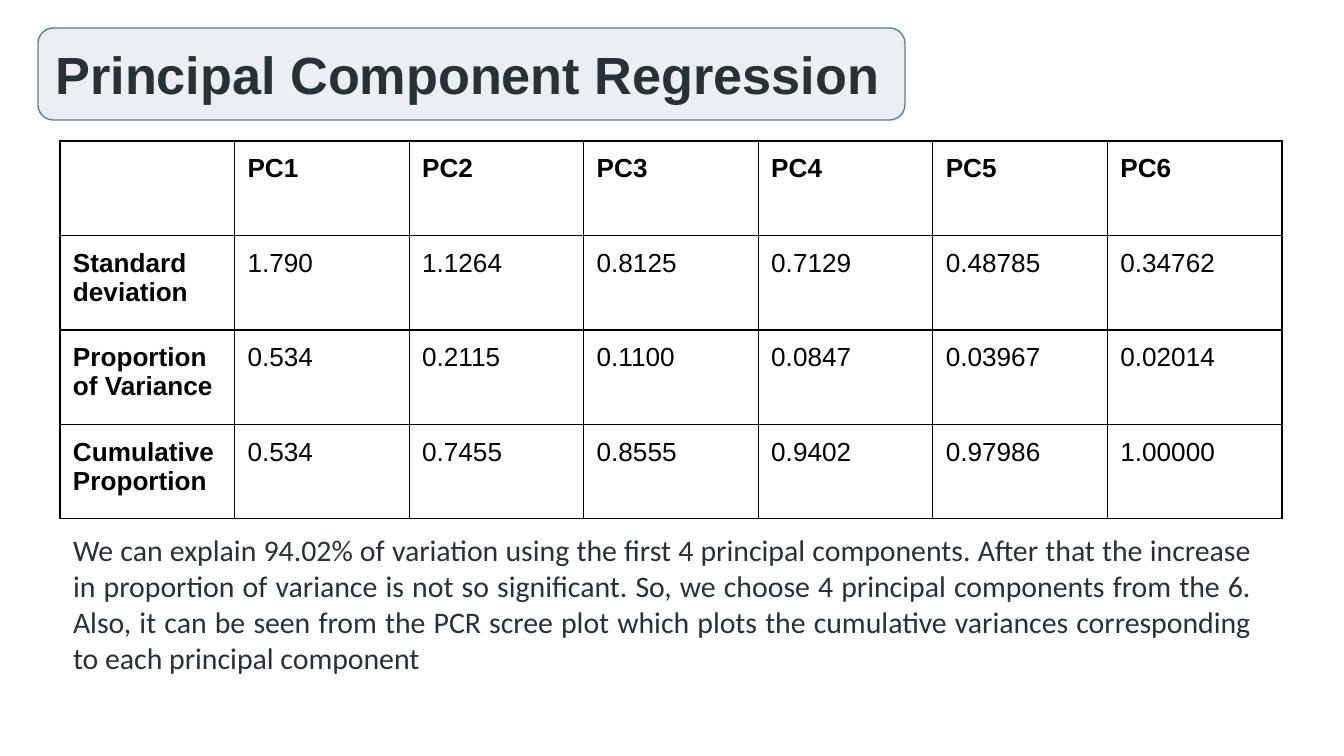
from dataclasses import dataclass

from lxml.etree import SubElement
from pptx import Presentation
from pptx.dml.color import RGBColor
from pptx.enum.shapes import MSO_SHAPE
from pptx.enum.text import MSO_ANCHOR, PP_ALIGN
from pptx.oxml.ns import qn
from pptx.util import Emu, Pt

EMU_PER_PX = 914400 / 134.4
INSET = 13
COLORS = {"ink": "263238", "panel": "ECEFF1", "edge": "607D8B",
          "black": "000000", "white": "FFFFFF"}


@dataclass(frozen=True)
class Box:
    left: int
    top: int
    width: int
    height: int

    def emu(self) -> tuple[Emu, ...]:
        return tuple(map(px, (self.left, self.top, self.width, self.height)))


@dataclass(frozen=True)
class Style:
    name: str
    size: int
    color: str
    bold: bool = False


TITLE = Style("Arial", 28, "ink", True)
HEADER = Style("Arial", 14, "black", True)
VALUE = Style("Arial", 14, "black")
BODY = Style("Calibri", 16, "ink")

TITLE_BOX = Box(38, 28, 867, 92)
TABLE_BOX = Box(60, 141, 1222, 378)
BODY_BOX = Box(60, 519, 1205, 237)

ROWS = [
    ["", *(f"PC{n}" for n in range(1, 7))],
    ["Standard deviation", "1.790", "1.1264", "0.8125", "0.7129", "0.48785", "0.34762"],
    ["Proportion of Variance", "0.534", "0.2115", "0.1100", "0.0847", "0.03967", "0.02014"],
    ["Cumulative Proportion", "0.534", "0.7455", "0.8555", "0.9402", "0.97986", "1.00000"],
]
CONCLUSION = (
    "We can explain 94.02% of variation using the first 4 principal components. "
    "After that the increase in proportion of variance is not so significant. "
    "So, we choose 4 principal components from the 6. Also, it can be seen from "
    "the PCR scree plot which plots the cumulative variances corresponding to "
    "each principal component"
)


def px(n: float) -> Emu:
    return Emu(round(n * EMU_PER_PX))


def rgb(key: str) -> RGBColor:
    return RGBColor.from_string(COLORS[key])


def set_insets(target) -> None:
    """Give a text frame or a table cell equal margins."""
    for side in ("left", "top", "right", "bottom"):
        setattr(target, f"margin_{side}", px(INSET))


def write(tf, text: str, style: Style, align=PP_ALIGN.LEFT) -> None:
    tf.word_wrap = True
    p = tf.paragraphs[0]
    p.alignment = align
    r = p.add_run()
    r.text = text
    font = {"name": style.name, "size": Pt(style.size), "bold": style.bold}
    for key, value in font.items():
        setattr(r.font, key, value)
    r.font.color.rgb = rgb(style.color)


def add_borders(cell, color: str, width: float) -> None:
    tc_pr = cell._tc.get_or_add_tcPr()
    for i, side in enumerate(("lnL", "lnR", "lnT", "lnB")):
        ln = tc_pr.makeelement(qn(f"a:{side}"), {"w": str(Pt(width))})
        fill = SubElement(ln, qn("a:solidFill"))
        SubElement(fill, qn("a:srgbClr"), val=COLORS[color])
        tc_pr.insert(i, ln)


def add_title(s, box: Box, text: str) -> None:
    sp = s.shapes.add_shape(MSO_SHAPE.ROUNDED_RECTANGLE, *box.emu())
    sp.shadow.inherit = False
    sp.fill.solid()
    sp.fill.fore_color.rgb = rgb("panel")
    sp.line.color.rgb = rgb("edge")
    sp.line.width = Pt(0.75)
    tf = sp.text_frame
    set_insets(tf)
    tf.vertical_anchor = MSO_ANCHOR.MIDDLE
    write(tf, text, TITLE)


def add_variance_table(s, box: Box, rows: list[list[str]]) -> None:
    table = s.shapes.add_table(len(rows), len(rows[0]), *box.emu()).table
    for col in table.columns:
        col.width = px(box.width / len(rows[0]))
    for row in table.rows:
        row.height = px(box.height / len(rows))
    for i, values in enumerate(rows):
        for j, text in enumerate(values):
            cell = table.cell(i, j)
            cell.fill.solid()
            cell.fill.fore_color.rgb = rgb("white")
            set_insets(cell)
            add_borders(cell, "black", 0.75)
            if text:
                write(cell.text_frame, text, VALUE if i and j else HEADER)


def add_body(s, box: Box, text: str) -> None:
    tf = s.shapes.add_textbox(*box.emu()).text_frame
    set_insets(tf)
    write(tf, text, BODY, PP_ALIGN.JUSTIFY)


def main() -> None:
    prs = Presentation()
    prs.slide_width, prs.slide_height = px(1344), px(756)
    s = prs.slides.add_slide(prs.slide_layouts[6])
    add_body(s, BODY_BOX, CONCLUSION)
    add_variance_table(s, TABLE_BOX, ROWS)
    add_title(s, TITLE_BOX, "Principal Component Regression")
    prs.save("out.pptx")


if __name__ == "__main__":
    main()
